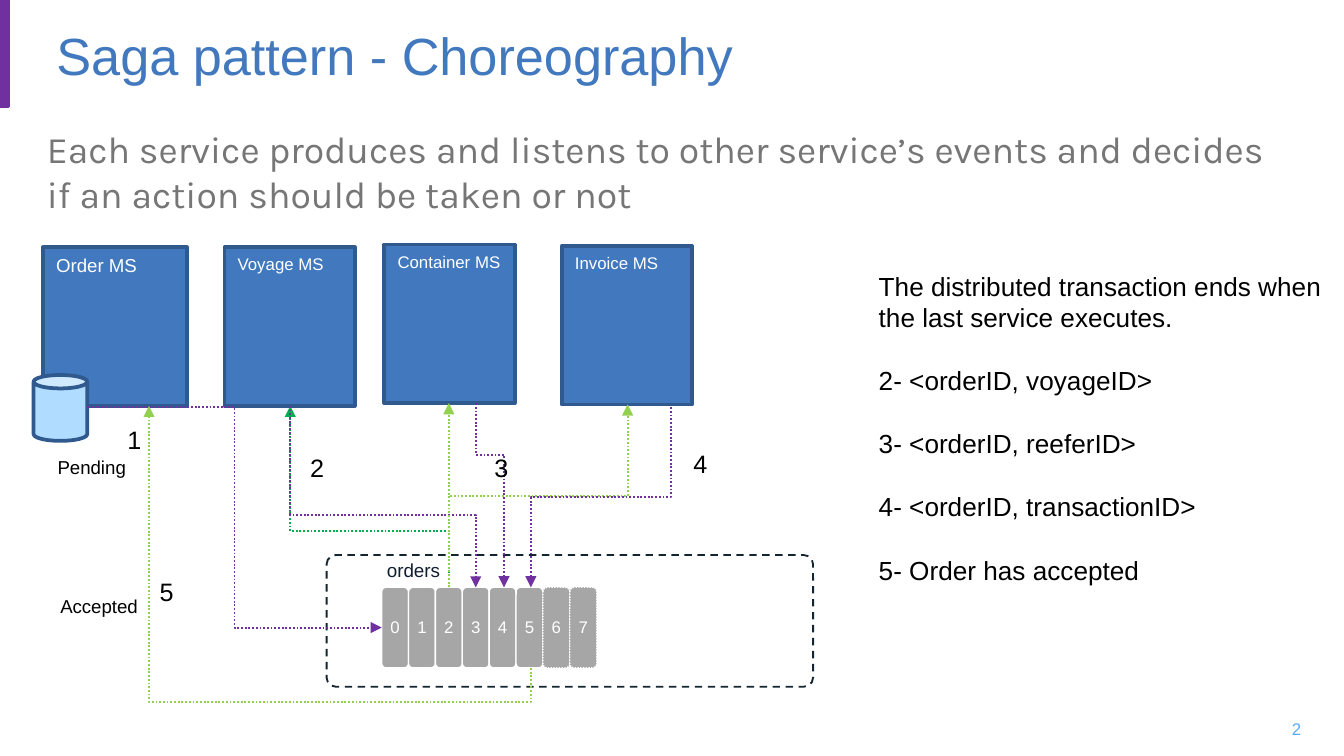
from pptx import Presentation
from pptx.dml.color import RGBColor
from pptx.enum.dml import MSO_LINE
from pptx.enum.shapes import MSO_CONNECTOR, MSO_SHAPE
from pptx.enum.text import MSO_ANCHOR, PP_ALIGN
from pptx.oxml.ns import qn
from pptx.util import Inches, Pt
from lxml import etree

DOT, DASH = MSO_LINE.ROUND_DOT, MSO_LINE.DASH
RECT, ROUND, CAN = MSO_SHAPE.RECTANGLE, MSO_SHAPE.ROUNDED_RECTANGLE, MSO_SHAPE.CAN
ELBOW, STRAIGHT = MSO_CONNECTOR.ELBOW, MSO_CONNECTOR.STRAIGHT
TOP, MIDDLE = MSO_ANCHOR.TOP, MSO_ANCHOR.MIDDLE
LEFT, CENTER, RIGHT = PP_ALIGN.LEFT, PP_ALIGN.CENTER, PP_ALIGN.RIGHT

color = RGBColor.from_string
BLUE, EDGE, PURPLE, LIME = "4178BE", "30598D", "7030A0", "92D050"

# Wide 16:9 slide
prs = Presentation()
prs.slide_width = Inches(10)
prs.slide_height = Inches(10 * 9 / 16)
slide = prs.slides.add_slide(prs.slide_layouts[5])
shapes = slide.shapes


def write(shape, lines, size, ink, font="Arial", align=LEFT, anchor=TOP, wrap=True, gap=0):
    frame = shape.text_frame
    frame.word_wrap = wrap
    frame.vertical_anchor = anchor
    for i, line in enumerate(lines):
        para = frame.paragraphs[0] if i == 0 else frame.add_paragraph()
        para.alignment = align
        if i:
            para.space_before = Pt(gap)
        run = para.add_run()
        run.text = line
        run.font.size = Pt(size)
        run.font.name = font
        run.font.color.rgb = color(ink)


def draw(kind, x, y, w, h, fill, edge, width, dash=None):
    shape = shapes.add_shape(kind, Inches(x), Inches(y), Inches(w), Inches(h))
    shape.shadow.inherit = False
    if fill:
        shape.fill.solid()
        shape.fill.fore_color.rgb = color(fill)
    else:
        shape.fill.background()
    shape.line.color.rgb = color(edge)
    shape.line.width = Pt(width)
    if dash:
        shape.line.dash_style = dash
    return shape


# Accent bar and title
draw(RECT, 0, 0, 0.06, 0.79, PURPLE, PURPLE, 2)
title = shapes.title
title.left, title.top = Inches(0.32), Inches(0.05)
title.width, title.height = Inches(9.18), Inches(0.72)
write(title, ["Saga pattern - Choreography"], 28, BLUE, anchor=MIDDLE)

# Lead sentence
lead = shapes.add_textbox(Inches(0.25), Inches(0.89), Inches(9.43), Inches(0.94))
write(lead, ["Each service produces and listens to other service’s events and decides "
             "if an action should be taken or not"], 20, "777677", font="Karla")

# Slide number
number = shapes.add_textbox(Inches(9.34), Inches(5.27), Inches(0.44), Inches(0.3))
write(number, ["2"], 9, "5AAAFA", align=RIGHT, anchor=MIDDLE)

# Topic partition cells
for i in range(8):
    cell = draw(ROUND, 2.84 + 0.2 * i, 4.37, 0.2, 0.6, "A6A6A6", "FFFFFF", 0.75,
                DOT if i > 5 else None)
    frame = cell.text_frame
    frame.margin_left = frame.margin_right = frame.margin_top = frame.margin_bottom = 0
    write(cell, [str(i)], 9, "FFFFFF", align=CENTER, anchor=MIDDLE)
    frame.paragraphs[0].line_spacing = 0.9

# Topic frame
topic = draw(ROUND, 2.43, 4.13, 3.62, 0.98, None, "132530", 1, DASH)
topic.adjustments[0] = 0.07

# Services and the order database
services = [
    ("Order MS", 0.32, 1.84, 1.07, 10),
    ("Container MS", 2.86, 1.82, 0.97, 9),
    ("Voyage MS", 1.67, 1.84, 0.97, 9),
    ("Invoice MS", 4.18, 1.83, 0.97, 9),
]
for name, x, y, w, size in services:
    write(draw(RECT, x, y, w, 1.18, BLUE, EDGE, 2), [name], size, "FFFFFF")
draw(CAN, 0.25, 2.79, 0.4, 0.49, "B0DDFF", EDGE, 2)

# Event arrows: start, end, colour, bend as a share of the way (None is straight),
# and whether the arrow leaves vertically
arrows = [
    (0.65, 3.03, 2.84, 4.67, PURPLE, 0.5, False),
    (3.34, 4.37, 2.16, 3.02, "00B050", 0.31, True),
    (3.34, 4.37, 3.34, 3.00, LIME, None, False),
    (2.16, 3.02, 3.54, 4.37, PURPLE, 0.6, True),
    (3.54, 3.00, 3.75, 4.37, PURPLE, 0.28, True),
    (3.95, 4.97, 1.11, 3.02, LIME, -0.13, True),
    (3.34, 4.37, 4.67, 3.01, LIME, 0.5, True),
    (4.99, 3.03, 3.95, 4.37, PURPLE, 0.5, True),
]
for x1, y1, x2, y2, ink, bend, upright in arrows:
    ends = x1, y1, x2, y2
    if upright:
        # Lay the route flat around its centre, then turn it by 90 degrees
        mx, my = (x1 + x2) / 2, (y1 + y2) / 2
        w, h = abs(y2 - y1) / 2, abs(x2 - x1) / 2
        ends = mx - w, my - h, mx + w, my + h
    arrow = shapes.add_connector(STRAIGHT if bend is None else ELBOW, *map(Inches, ends))
    arrow.line.color.rgb = color(ink)
    arrow.line.width = Pt(1)
    arrow.line.dash_style = DOT
    props = arrow.element.spPr
    if upright:
        xfrm = props.find(qn("a:xfrm"))
        xfrm.set("rot", "5400000")
        xfrm.set("flipH", str(int(y2 < y1)))
        xfrm.set("flipV", str(int(x2 > x1)))
    if bend is not None:
        geom = props.find(qn("a:prstGeom"))
        guides = geom.find(qn("a:avLst"))
        if guides is None:
            guides = etree.SubElement(geom, qn("a:avLst"))
        etree.SubElement(guides, qn("a:gd"), name="adj1", fmla=f"val {round(bend * 100000)}")
    etree.SubElement(props.find(qn("a:ln")), qn("a:tailEnd"), type="triangle")
    etree.SubElement(props, qn("a:effectLst"))

# Step numbers and labels
labels = [
    ("orders", 2.78, 4.11, 0.61, 0.27, 10.1, "101E30"),
    ("1", 0.85, 3.11, 0.81, 0.33, 13.5, "000000"),
    ("2", 2.21, 3.32, 0.31, 0.33, 13.5, "000000"),
    ("3", 3.58, 3.32, 0.31, 0.33, 13.5, "000000"),
    ("5", 1.09, 4.24, 0.31, 0.33, 13.5, "000000"),
    ("Pending", 0.33, 3.34, 0.71, 0.27, 10, "000000"),
    ("4", 5.06, 3.29, 0.31, 0.33, 13.5, "000000"),
    ("Accepted", 0.35, 4.38, 0.78, 0.27, 10, "000000"),
]
for text, x, y, w, h, size, ink in labels:
    box = shapes.add_textbox(Inches(x), Inches(y), Inches(w), Inches(h))
    write(box, [text], size, ink, wrap=False)

# Explanation of the steps
steps = shapes.add_textbox(Inches(6.44), Inches(1.96), Inches(3.56), Inches(2.68))
write(steps, [
    "The distributed transaction ends when the last service executes.",
    "2- <orderID, voyageID>",
    "3- <orderID, reeferID>",
    "4- <orderID, transactionID>",
    "5- Order has accepted",
], 14, "000000", gap=17)

prs.save("out.pptx")
